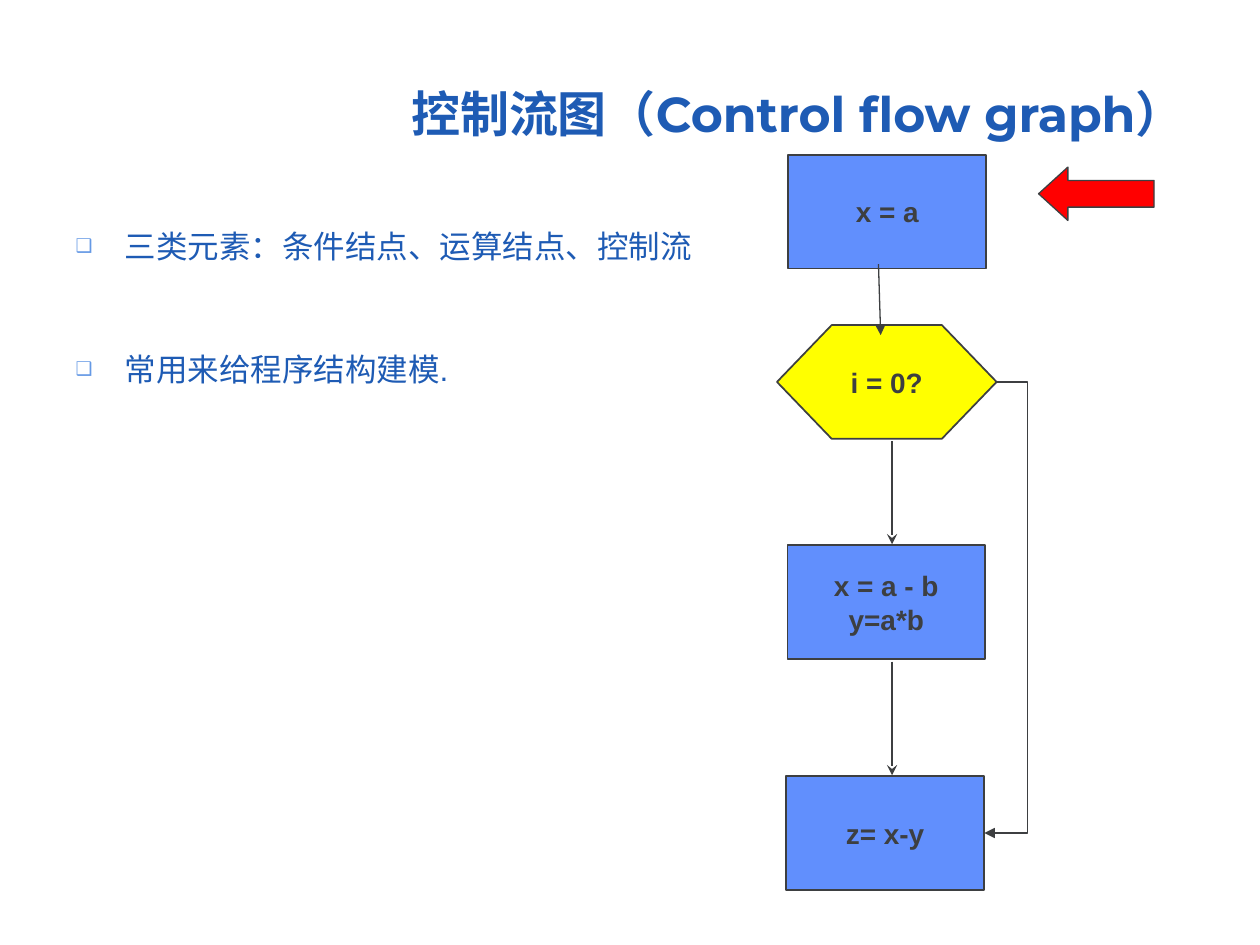
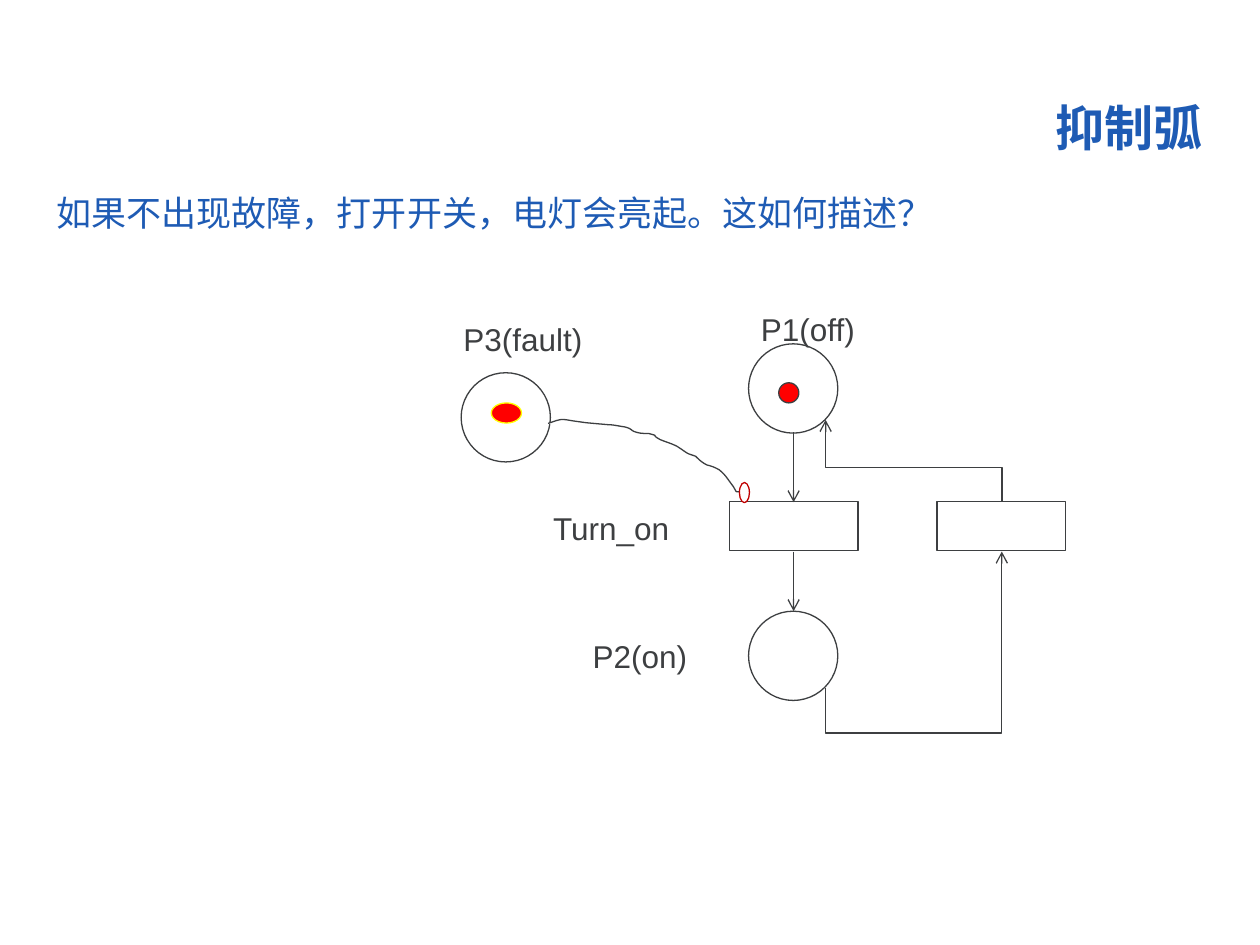
import math

import lxml.etree
import pptx
import pptx.dml.color
import pptx.enum.shapes
import pptx.enum.text
import pptx.oxml.ns
import pptx.util

Pt = pptx.util.Pt
SHAPE = pptx.enum.shapes.MSO_SHAPE
CONNECTOR = pptx.enum.shapes.MSO_CONNECTOR
ALIGN = pptx.enum.text.PP_ALIGN
ANCHOR = pptx.enum.text.MSO_ANCHOR

TITLE_AND_BODY, TITLE_ONLY = 1, 5
TITLE_BLUE = "1E5BB4"
BULLET_BLUE = "6599E5"
STEP_BLUE = "618FFD"
INK = "3D3F41"
RED = "FF0000"
DARK_RED = "C00000"
YELLOW = "FFFF00"
WHITE = "FFFFFF"
THIN = 0.75


def color(value):
    return pptx.dml.color.RGBColor.from_string(value)


def add_element(parent, tag, **attributes):
    return lxml.etree.SubElement(parent, pptx.oxml.ns.qn(tag), attributes)


def curve_points(start, curves, steps=6):
    points = [start]
    for curve in curves:
        controls = [points[-1], *curve]
        for step in range(1, steps + 1):
            t = step / steps
            weights = [math.comb(3, k) * t**k * (1 - t) ** (3 - k) for k in range(4)]
            points.append(tuple(sum(weight * control[axis] for weight, control in zip(weights, controls))
                                for axis in (0, 1)))
    return points


class Deck:
    """Holds the shared style and the current slide, and draws elements in points."""

    def __init__(self):
        self.presentation = pptx.Presentation()
        self.presentation.slide_width = Pt(720)
        self.presentation.slide_height = Pt(540)
        self.slide = None

    def add_slide(self, layout, title, box, anchor):
        self.slide = self.presentation.slides.add_slide(self.presentation.slide_layouts[layout])
        shape = self.slide.shapes.title
        self.place(shape, box)
        shape.text_frame.vertical_anchor = anchor
        self.set_text(shape, [title], 28, TITLE_BLUE, ALIGN.RIGHT, bold=True, name="Montserrat")
        shape.text_frame.paragraphs[0].line_spacing = 0.9

    def place(self, shape, box):
        shape.left, shape.top, shape.width, shape.height = map(Pt, box)

    def set_text(self, shape, lines, size, ink, align, bold=False, name="Arial", bullet=None, gap=0):
        frame = shape.text_frame
        frame.auto_size = pptx.enum.text.MSO_AUTO_SIZE.NONE
        frame.text = "\n".join(lines)
        for index, paragraph in enumerate(frame.paragraphs):
            if bullet:
                self.add_bullet(paragraph, bullet)
            paragraph.alignment = align
            paragraph.space_before = Pt(gap if index else 0)
            font = paragraph.font
            font.size, font.bold, font.name = Pt(size), bold, name
            font.color.rgb = color(ink)

    def add_bullet(self, paragraph, character):
        properties = paragraph._p.get_or_add_pPr()
        properties.set("marL", str(Pt(28)))
        properties.set("indent", str(Pt(-28)))
        add_element(add_element(properties, "a:buClr"), "a:srgbClr", val=BULLET_BLUE)
        add_element(properties, "a:buSzPct", val="60000")
        add_element(properties, "a:buChar", char=character)

    def bullets(self, box, lines, gap):
        body = self.slide.placeholders[1]
        self.place(body, box)
        self.set_text(body, lines, 18, TITLE_BLUE, ALIGN.JUSTIFY, bullet="❑", gap=gap)

    def text(self, box, line, size=18, ink=INK):
        shape = self.slide.shapes.add_textbox(*map(Pt, box))
        shape.text_frame.word_wrap = True
        self.set_text(shape, [line], size, ink, ALIGN.LEFT)

    def paint(self, shape, fill, line, width):
        shape.shadow.inherit = False
        shape.fill.solid()
        shape.fill.fore_color.rgb = color(fill)
        shape.line.color.rgb = color(line)
        shape.line.width = Pt(width)

    def shape(self, kind, box, fill=WHITE, line=INK, width=THIN, adjustments=()):
        shape = self.slide.shapes.add_shape(kind, *map(Pt, box))
        for index, value in enumerate(adjustments):
            shape.adjustments[index] = value
        self.paint(shape, fill, line, width)
        return shape

    def node(self, kind, box, lines, fill, adjustments=()):
        shape = self.shape(kind, box, fill, width=1, adjustments=adjustments)
        shape.text_frame.word_wrap = False
        shape.text_frame.vertical_anchor = ANCHOR.MIDDLE
        self.set_text(shape, lines, 16, INK, ALIGN.CENTER, bold=True)

    def curve(self, points):
        start, *others = [tuple(map(Pt, point)) for point in points]
        builder = self.slide.shapes.build_freeform(*start, scale=1.0)
        builder.add_line_segments(others, close=False)
        self.paint(builder.convert_to_shape(), WHITE, INK, THIN)

    def arrow(self, begin, end, head="arrow", width=THIN, kind=CONNECTOR.STRAIGHT):
        connector = self.slide.shapes.add_connector(kind, *map(Pt, (*begin, *end)))
        connector.line.color.rgb = color(INK)
        connector.line.width = Pt(width)
        properties = connector._element.spPr
        line = properties.find(pptx.oxml.ns.qn("a:ln"))
        add_element(line, "a:tailEnd", type=head)
        add_element(properties, "a:effectLst")
        return properties

    def elbow(self, begin, end, lane, rotation=0, head="arrow"):
        axis = 1 if rotation else 0
        bend = (lane - begin[axis]) / (end[axis] - begin[axis])
        center_x, center_y = ((a + b) / 2 for a, b in zip(begin, end))
        cosine, sine = (round(f(math.radians(rotation))) for f in (math.cos, math.sin))
        corners = [(center_x + cosine * (x - center_x) + sine * (y - center_y),
                    center_y - sine * (x - center_x) + cosine * (y - center_y))
                   for x, y in (begin, end)]
        properties = self.arrow(*corners, head=head, kind=CONNECTOR.ELBOW)
        if rotation:
            properties.find(pptx.oxml.ns.qn("a:xfrm")).set("rot", str(rotation * 60000))
        geometry = properties.find(pptx.oxml.ns.qn("a:prstGeom"))
        guides = geometry.find(pptx.oxml.ns.qn("a:avLst"))
        if guides is None:
            guides = add_element(geometry, "a:avLst")
        add_element(guides, "a:gd", name="adj1", fmla=f"val {round(bend * 100000)}")


def control_flow_slide(deck):
    deck.add_slide(TITLE_AND_BODY, "控制流图（Control flow graph）", (36, 21.6, 648, 90), ANCHOR.MIDDLE)
    deck.bullets((36, 126, 385, 356.5), ["三类元素：条件结点、运算结点、控制流", "常用来给程序结构建模."], gap=49)
    steps = [(450.5, 88.5, ["x = a"]), (450, 311.5, ["x = a - b", "y=a*b"]), (449.25, 443.5, ["z= x-y"])]
    for left, top, lines in steps:
        deck.node(SHAPE.RECTANGLE, (left, top, 113, 65), lines, STEP_BLUE)
    deck.node(SHAPE.HEXAGON, (444, 185.75, 125.5, 65), ["i = 0?"], YELLOW, (0.481,))
    for top, bottom in ((252, 311), (378, 443)):
        deck.arrow((509.75, top), (509.75, bottom), "stealth", 1)
    deck.arrow((502, 151), (503.25, 191.5), "triangle")
    deck.elbow((569, 218.25), (562.5, 476), lane=587, head="triangle")
    deck.shape(SHAPE.LEFT_ARROW, (593.5, 95.5, 66, 30.5), RED, adjustments=(0.5, 0.55))


def inhibitor_arc_slide(deck):
    deck.add_slide(TITLE_ONLY, "抑制弧", (211.5, 38, 483, 55.5), ANCHOR.BOTTOM)
    deck.text((25.2, 106, 666, 43), "如果不出现故障，打开开关，电灯会亮起。这如何描述？", 20, TITLE_BLUE)
    for left, top in ((427.75, 196.5), (427.75, 349.25), (263.5, 213)):
        deck.shape(SHAPE.OVAL, (left, top, 51, 51))
    for left in (416.75, 535.5):
        deck.shape(SHAPE.RECTANGLE, (left, 286.5, 73.5, 28.25))
    for top, bottom in ((247, 287), (315.25, 349.25)):
        deck.arrow((453.5, top), (453.5, bottom))
    deck.elbow((471.75, 393.25), (572.5, 315.25), lane=419, rotation=90)
    deck.elbow((572.5, 286.5), (471.75, 240), lane=267, rotation=270)
    deck.curve(curve_points((313.2, 242), [
        ((326, 237.5), (316, 240.5), (347.75, 242.75)),
        ((350.75, 242.75), (353.5, 243.5), (357, 244)),
        ((361.5, 245), (360, 246), (363.5, 247)),
        ((366, 247.75), (368, 247.75), (370.75, 247.75)),
        ((378, 249.75), (370.75, 247.75), (377.25, 251.25)),
        ((381, 252.75), (383.75, 253.5), (386.75, 255)),
        ((394.5, 260), (391, 258.5), (397.5, 260.75)),
        ((399.5, 262.75), (401, 264.25), (404, 265.75)),
        ((407, 266.5), (408.25, 267), (411, 268.5)),
        ((414.75, 271.5), (415.5, 273.5), (419, 278)),
        ((421.25, 281.5), (419.75, 281), (422.75, 281)),
    ]))
    deck.shape(SHAPE.OVAL, (422.5, 275.75, 5.75, 11.5), line=DARK_RED)
    deck.shape(SHAPE.OVAL, (445, 218.75, 11.5, 11.5), RED)
    deck.shape(SHAPE.OVAL, (280.75, 230.25, 17.25, 11.5), RED, YELLOW)
    labels = [("P1(off)", 427.75, 173.5, 91), ("P2(on)", 331.5, 360.75, 73.5),
              ("Turn_on", 309, 287.25, 107), ("P3(fault)", 257.75, 179.25, 91)]
    for label, left, top, width in labels:
        deck.text((left, top, width, 29), label)


def main():
    deck = Deck()
    control_flow_slide(deck)
    inhibitor_arc_slide(deck)
    deck.presentation.save("out.pptx")


if __name__ == "__main__":
    main()
